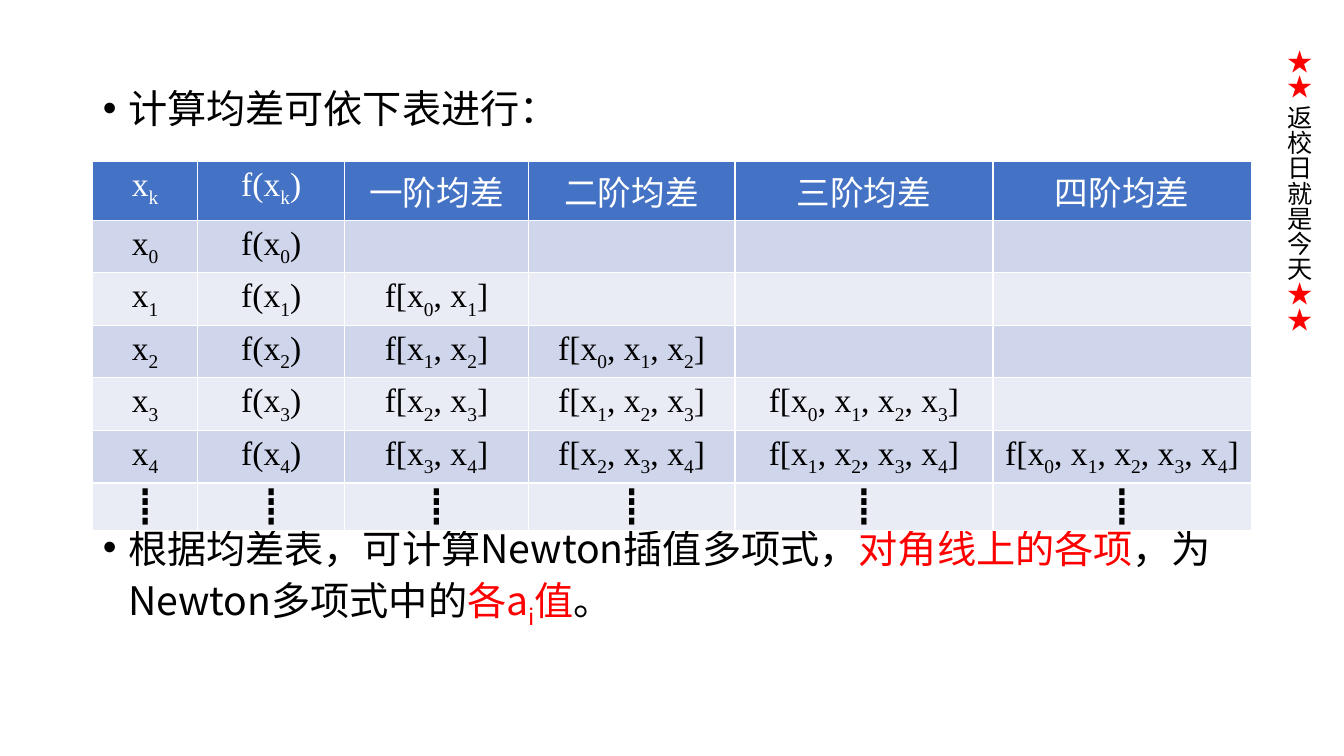
from dataclasses import dataclass
from pptx import Presentation
from pptx.dml.color import RGBColor
from pptx.enum.text import MSO_ANCHOR, MSO_AUTO_SIZE, PP_ALIGN
from pptx.oxml.ns import qn
from pptx.util import Inches, Pt
from lxml import etree

CENTER, LEFT = PP_ALIGN.CENTER, PP_ALIGN.LEFT
TOP, NO_FIT = MSO_ANCHOR.TOP, MSO_AUTO_SIZE.NONE


@dataclass
class Theme:
    sans: str = "Noto Sans CJK SC"
    serif: str = "Times New Roman"
    black: str = "000000"
    white: str = "FFFFFF"
    red: str = "FF0000"
    head: str = "4472C4"
    bands: tuple = ("E9EBF5", "CFD5EA")
    body: int = 28
    cell: int = 24
    side: int = 18


T = Theme()

SIDE = [("★★ ", T.red), ("返校日就是今天", T.black), ("★★", T.red)]
# Each part: text, colour, subscript or not
POINTS = [
    [("计算均差可依下表进行：", T.black, False)],
    [("根据均差表，可计算Newton插值多项式，", T.black, False),
     ("对角线上的各项", T.red, False),
     ("，为Newton多项式中的", T.black, False),
     ("各a", T.red, False), ("i", T.red, True), ("值", T.red, False),
     ("。", T.black, False)],
]
ORDERS = ["一阶均差", "二阶均差", "三阶均差", "四阶均差"]
NODES = 5
DOTS = "┋"

WIDE, HIGH = 13.33, 7.5
EDGE, SPAN = 0.92, 11.5
COLS = [1.04, 1.46, 1.82, 2.05, 2.56, 2.56]
ROW = 0.41
GAPS = [0, 277]  # room for the table between the two points


def add_run(par, text, size, color, latin, sub=False, asian=T.sans):
    run = par.add_run()
    run.text = text
    font = run.font
    font.size, font.name, font.bold = Pt(size), latin, False
    font.color.rgb = RGBColor.from_string(color)
    face = etree.SubElement(font._element, qn("a:ea"))
    face.set("typeface", asian)
    if sub:
        font._element.set("baseline", "-25000")


def terms(first, last):
    """Parts of the divided difference f[x_first, ..., x_last]."""
    parts = []
    for i in range(first, last + 1):
        parts += [("f[x" if i == first else ", x", False), (str(i), True)]
    return parts + [("]", False)]


def pair(key):
    """The node and its function value, for the first two columns."""
    return [[("x", False), (key, True)],
            [("f(x", False), (key, True), (")", False)]]


def grid():
    rows = [pair("k") + [[(name, False)] for name in ORDERS]]
    for k in range(NODES):
        row = pair(str(k))
        row += [terms(k - n, k) if n <= k else []
                for n in range(1, len(ORDERS) + 1)]
        rows.append(row)
    return rows + [[[(DOTS, False)]] * len(COLS)]


def add_side(slide):
    box = slide.shapes.add_textbox(Inches(12.59), Inches(0.39),
                                   Inches(0.5), Inches(6.71))
    frame = box.text_frame
    frame.word_wrap = True
    frame._txBody.bodyPr.set("vert", "eaVert")
    for text, color in SIDE:
        add_run(frame.paragraphs[0], text, T.side, color, T.sans)


def add_points(body):
    body.left, body.top = Inches(EDGE), Inches(0.74)
    body.width, body.height = Inches(SPAN), Inches(6.01)
    frame = body.text_frame
    frame.auto_size, frame.vertical_anchor = NO_FIT, TOP
    for i, (parts, gap) in enumerate(zip(POINTS, GAPS)):
        par = frame.add_paragraph() if i else frame.paragraphs[0]
        par.alignment, par.line_spacing = LEFT, 1.1
        par.space_before = Pt(gap)
        props = par._p.get_or_add_pPr()
        props.set("marL", str(Inches(0.25)))
        props.set("indent", str(-Inches(0.25)))
        etree.SubElement(props, qn("a:buFont")).set("typeface", "Arial")
        etree.SubElement(props, qn("a:buChar")).set("char", "•")
        for text, color, sub in parts:
            add_run(par, text, T.body, color, T.sans, sub)


def add_grid(slide):
    rows = grid()
    table = slide.shapes.add_table(
        len(rows), len(COLS), Inches(EDGE), Inches(1.6),
        Inches(SPAN), Inches(ROW * len(rows))).table
    for col, wide in zip(table.columns, COLS):
        col.width = Inches(wide)
    for r, row in enumerate(rows):
        for c, parts in enumerate(row):
            cell = table.cell(r, c)
            cell.fill.solid()
            fill = T.bands[r % 2] if r else T.head
            cell.fill.fore_color.rgb = RGBColor.from_string(fill)
            par = cell.text_frame.paragraphs[0]
            par.alignment = CENTER
            for text, sub in parts:
                asian = T.serif if text == DOTS else T.sans
                add_run(par, text, T.cell, T.black if r else T.white,
                        T.serif, sub, asian)


def main():
    deck = Presentation()
    deck.slide_width, deck.slide_height = Inches(WIDE), Inches(HIGH)
    slide = deck.slides.add_slide(deck.slide_layouts[1])
    title, body = slide.placeholders
    title._element.getparent().remove(title._element)
    add_side(slide)
    add_points(body)
    add_grid(slide)
    deck.save("out.pptx")


if __name__ == "__main__":
    main()
